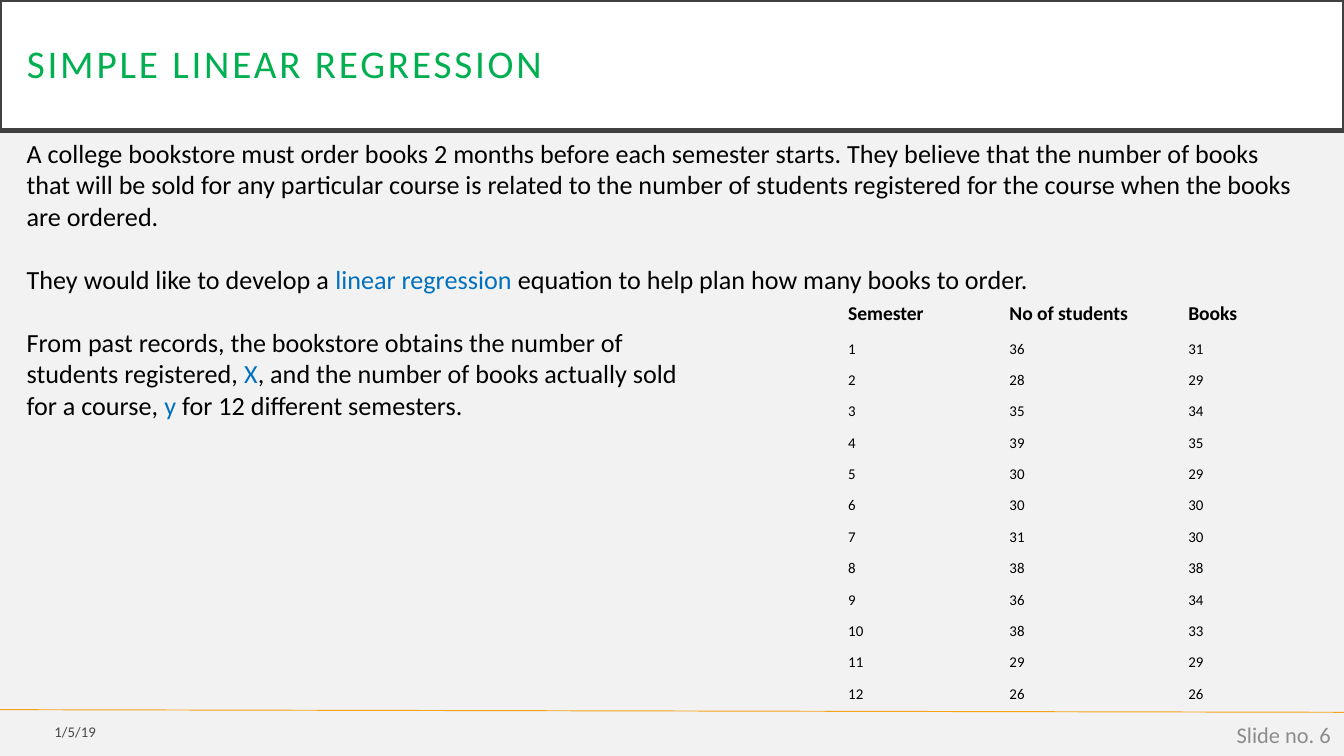
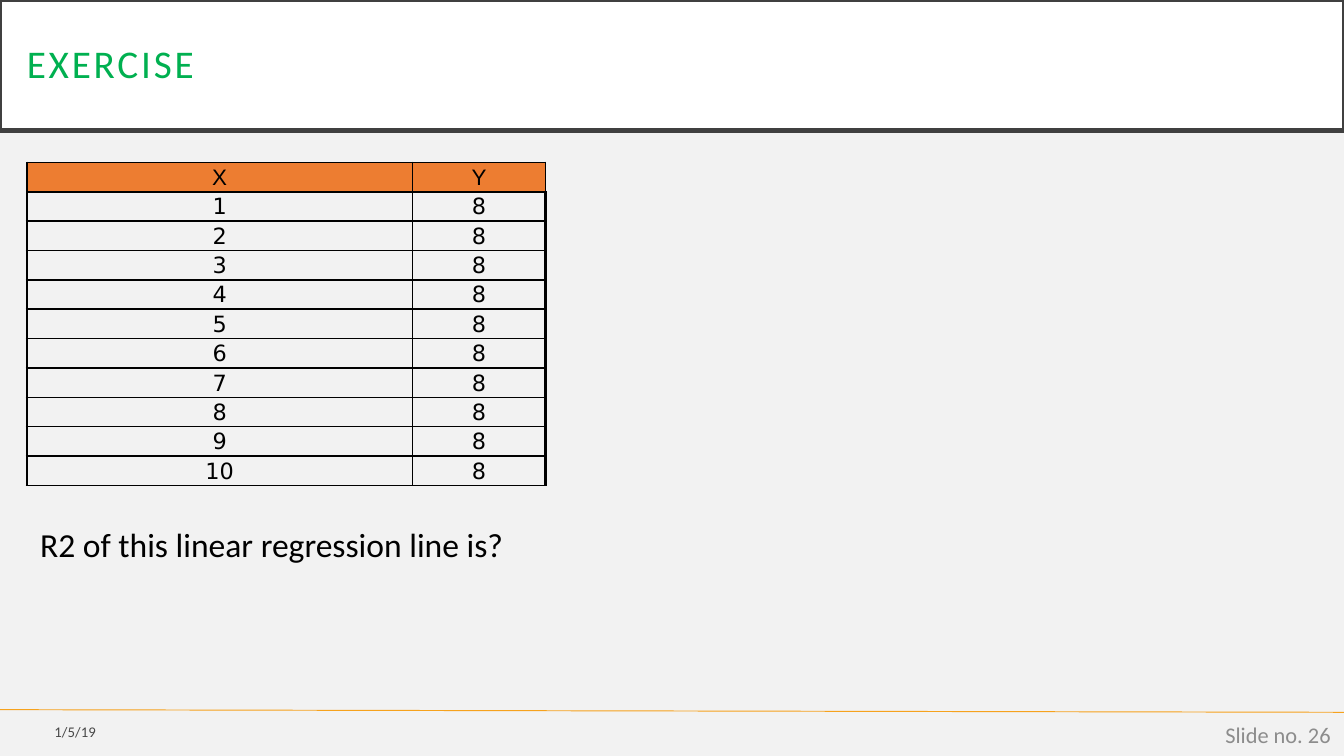
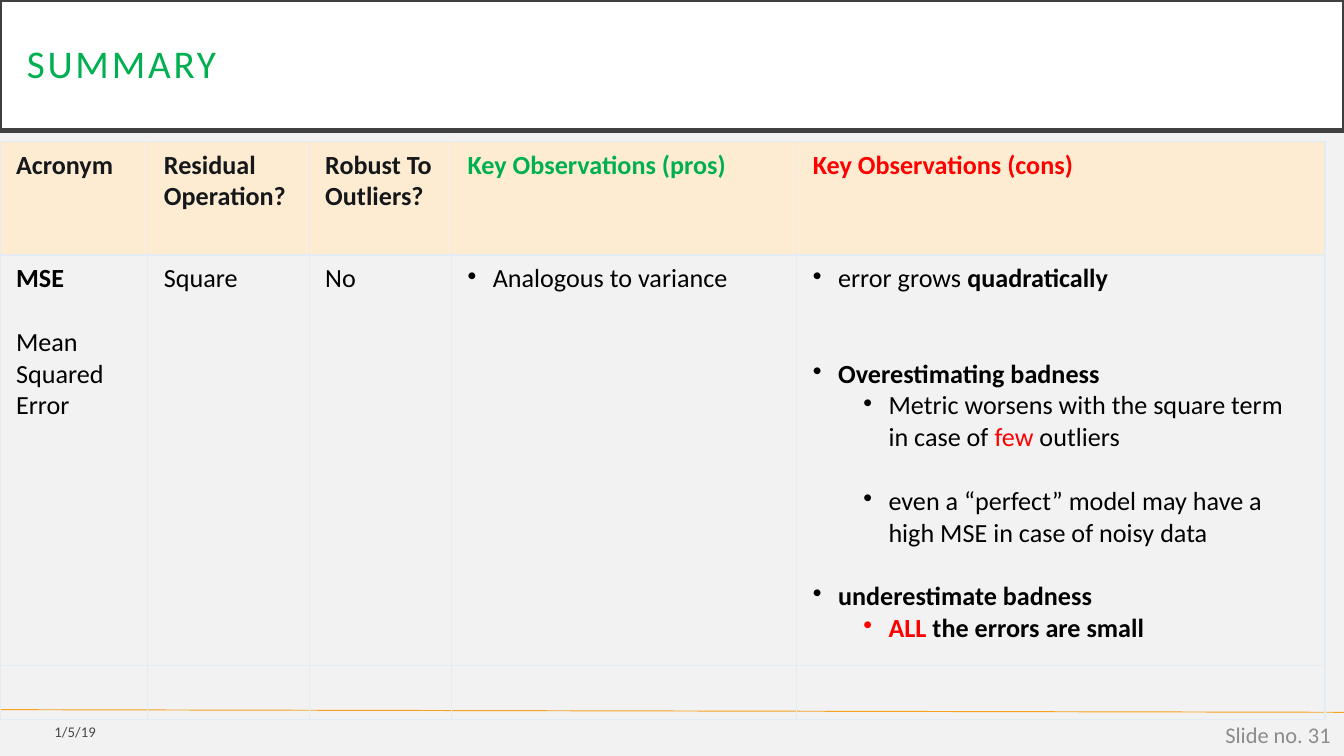
from lxml.etree import SubElement as Sub
from pptx import Presentation
from pptx.dml.color import RGBColor as RGB
from pptx.enum.shapes import MSO_CONNECTOR as Link, MSO_SHAPE as Shape
from pptx.enum.text import MSO_ANCHOR as Anchor, PP_ALIGN as Align
from pptx.oxml.ns import qn
from pptx.util import Pt

HUES = {
    "page": "F2F2F2", "band": "FFFFFF", "edge": "404040", "rule": "F6A21D",
    "title": "00B050", "text": "000000", "page no": "8C8C8C", "term": "0070C0",
    "xy head": "ED7D31", "sum head": "FDECD2", "sum text": "15171A",
    "sum grid": "E3ECF3", "pro": "00B050", "con": "FF0000",
}
PLAIN = "{2D5ABB26-0587-4C30-8999-92F81FD0307C}"
GAP = Pt(17)  # one empty line of 14 pt text
BOLD, TERM, CON = {"bold": True}, {"color": "term"}, {"color": "con"}
BOOKS = [
    (36, 31), (28, 29), (35, 34), (39, 35), (30, 29), (30, 30),
    (31, 30), (38, 38), (36, 34), (38, 33), (29, 29), (26, 26),
]


def hue(name):
    return RGB.from_string(HUES[name])


def face(size, color="text", name="Calibri", **more):
    return {"name": name, "size": Pt(size), "color": color, **more}


def assign(item, values):
    for name, value in values.items():
        setattr(item, name, value)


def para(*runs, **form):
    """Pair runs (a string, or a string with font changes) with paragraph format."""
    return [run if isinstance(run, tuple) else (run, {}) for run in runs], form


def dot(*runs, level=0, **form):
    return para(*runs, level=level, dot=13.5 + 27 * level, **form)


def write(frame, paras, font, **shared):
    for i, (runs, form) in enumerate(paras):
        p = frame.paragraphs[0] if i == 0 else frame.add_paragraph()
        form = {**shared, **form}
        left = form.pop("dot", None)
        assign(p, form)
        if left:
            props = p._p.get_or_add_pPr()
            props.set("marL", str(Pt(left)))
            props.set("indent", str(-Pt(13.5)))
            Sub(props, qn("a:buChar"), char="•")
        for text, change in runs:
            run = p.add_run()
            run.text = text
            look = {**font, **change}
            run.font.color.rgb = hue(look.pop("color"))
            assign(run.font, look)


def box(slide, place, paras, font, wrap=True, anchor=Anchor.TOP, **form):
    frame = slide.shapes.add_textbox(*map(Pt, place)).text_frame
    assign(frame, {"word_wrap": wrap, "vertical_anchor": anchor})
    write(frame, paras, font, **form)
    return frame


def band(slide, title):
    shape = slide.shapes.add_shape(Shape.RECTANGLE, 0, 0, Pt(720), Pt(70))
    shape.shadow.inherit = False
    shape.fill.solid()
    shape.fill.fore_color.rgb = hue("band")
    shape.line.color.rgb = hue("edge")
    shape.line.width = Pt(2.5)
    frame = shape.text_frame
    sides = ("left", "top", "right", "bottom")
    assign(frame, {f"margin_{side}": Pt(14.4) for side in sides})
    assign(frame, {"word_wrap": True, "vertical_anchor": Anchor.MIDDLE})
    write(frame, [para(title)], face(21, "title"),
          alignment=Align.LEFT, line_spacing=0.9)
    frame.paragraphs[0].runs[0]._r.get_or_add_rPr().set("spc", "150")


def foot(slide, number):
    rule = slide.shapes.add_connector(
        Link.STRAIGHT, 0, Pt(380.2), Pt(720), Pt(381.6))
    rule.line.color.rgb = hue("rule")
    rule.line.width = Pt(0.5)
    Sub(rule._element.spPr, qn("a:effectLst"))
    form = {"anchor": Anchor.MIDDLE, "alignment": Align.RIGHT}
    date = box(slide, (0, 382.3, 58.4, 19.4), [para("1/5/19")], face(7.9), **form)
    tint = next(date.paragraphs[0].runs[0]._r.iter(qn("a:srgbClr")))
    Sub(tint, qn("a:alpha"), val="70000")
    box(slide, (558, 383, 162, 21.6), [para(f"Slide no. {number}")],
        face(12, "page no"), **form)


def page(deck, title, number):
    slide = deck.slides.add_slide(deck.slide_layouts[6])
    slide.background.fill.solid()
    slide.background.fill.fore_color.rgb = hue("page")
    foot(slide, number)
    band(slide, title)
    return slide


def grid(slide, spot, cols, rows):
    """Add an unstyled table with the given column widths and row heights."""
    place = (*spot, sum(cols), sum(rows))
    table = slide.shapes.add_table(len(rows), len(cols), *map(Pt, place)).table
    assign(table, {"first_row": False, "horz_banding": False})
    table._tbl.tblPr.find(qn("a:tableStyleId")).text = PLAIN
    for col, width in zip(table.columns, cols):
        col.width = Pt(width)
    for row, height in zip(table.rows, rows):
        row.height = Pt(height)
    return table


def edge(cell, color, widths):
    props = cell._tc.get_or_add_tcPr()
    for side, width in zip("LRTB", widths):
        line = Sub(props, qn(f"a:ln{side}"), w=str(Pt(width)))
        Sub(Sub(line, qn("a:solidFill")), qn("a:srgbClr"), val=HUES[color])


def put(cell, paras, font, fill=None, pad=None, anchor=Anchor.TOP, **form):
    cell.vertical_anchor = anchor
    if pad:
        sides = ("left", "top", "right", "bottom")
        assign(cell, {f"margin_{s}": Pt(p) for s, p in zip(sides, pad)})
    if fill:
        cell.fill.solid()
        cell.fill.fore_color.rgb = hue(fill)
    else:
        cell.fill.background()
    write(cell.text_frame, paras, font, **form)


def store(deck):
    slide = page(deck, "SIMPLE LINEAR REGRESSION", 6)
    box(slide, (7.2, 70, 699, 177), [
        para("A college bookstore must order books 2 months before each semester "
             "starts. They believe that the number of books that will be sold for "
             "any particular course is related to the number of students registered "
             "for the course when the books are ordered."),
        para("They would like to develop a ", ("linear regression ", TERM),
             "equation to help plan how many books to order.", space_before=GAP),
        para("From past records, the bookstore obtains the number of",
             space_before=GAP),
        para("students registered, ", ("X", TERM),
             ", and the number of books actually sold"),
        para("for a course, ", ("y", TERM), " for 12 different semesters."),
    ], face(14))
    data = [("Semester", "No of students", "Books")]
    data += [(i, *pair) for i, pair in enumerate(BOOKS, 1)]
    table = grid(slide, (447.2, 158.4), (86.4, 95.8, 77),
                 [20] + [16.8] * len(BOOKS))
    for r, row in enumerate(data):
        font = face(8) if r else face(10.5, bold=True)
        for c, value in enumerate(row):
            put(table.cell(r, c), [para(str(value))], font)


def drill(deck):
    slide = page(deck, "EXERCISE", 26)
    data = [("X", "Y")] + [(x, 8) for x in range(1, 11)]
    table = grid(slide, (14.4, 87), (206.6, 71.3), [15.75] * len(data))
    for r, row in enumerate(data):
        font = face(12, name="DejaVu Sans" if r else "Arial")
        for c, value in enumerate(row):
            cell = table.cell(r, c)
            wide = 1.5 if r else 1
            edge(cell, "text", (1, wide, 1, 1) if c else (wide, 1, 1, 1))
            put(cell, [para(str(value))], font, None if r else "xy head",
                (0.7, 0.7, 0.7, 0), Anchor.MIDDLE, alignment=Align.CENTER)
    box(slide, (14.4, 277.2, 265, 28.8),
        [para("R2 of this linear regression line is?")], face(18), wrap=False)


def recap(deck):
    slide = page(deck, "SUMMARY", 31)
    heads = [
        [para("Acronym")], [para("Residual Operation?")],
        [para("Robust To Outliers?")],
        [para(("Key Observations (pros)", {"color": "pro"}))],
        [para(("Key Observations (cons)", CON))],
    ]
    cons = [
        dot("error grows ", ("quadratically", BOLD)),
        dot(("Overestimating badness", BOLD), space_before=2 * GAP),
        dot("Metric worsens with the square term in case of ", ("few", CON),
            " outliers", level=1),
        dot("even a “perfect” model may have a high MSE in case of noisy data",
            level=1, space_before=GAP),
        dot(("underestimate badness", BOLD), space_before=GAP),
        dot(("ALL", {**BOLD, **CON}), (" the errors are small", BOLD), level=1),
    ]
    mse = [
        [para(("MSE", BOLD)), para("Mean Squared Error", space_before=GAP)],
        [para("Square")], [para("No")], [dot("Analogous to variance")], cons,
    ]
    table = grid(slide, (0, 75.6), (79.2, 86.4, 76.3, 185, 283), (61, 220, 28))
    for r, row in enumerate([heads, mse, [[]] * len(heads)]):
        font = face(14) if r else face(14, "sum text", bold=True)
        for c, paras in enumerate(row):
            cell = table.cell(r, c)
            edge(cell, "sum grid", [0.75] * 4)
            put(cell, paras, font, None if r else "sum head",
                (8.64, 4.32, 8.64, 4.32) if paras else None)


def main():
    deck = Presentation()
    assign(deck, {"slide_width": Pt(720), "slide_height": Pt(405)})
    for build in (store, drill, recap):
        build(deck)
    deck.save("out.pptx")


if __name__ == "__main__":
    main()
